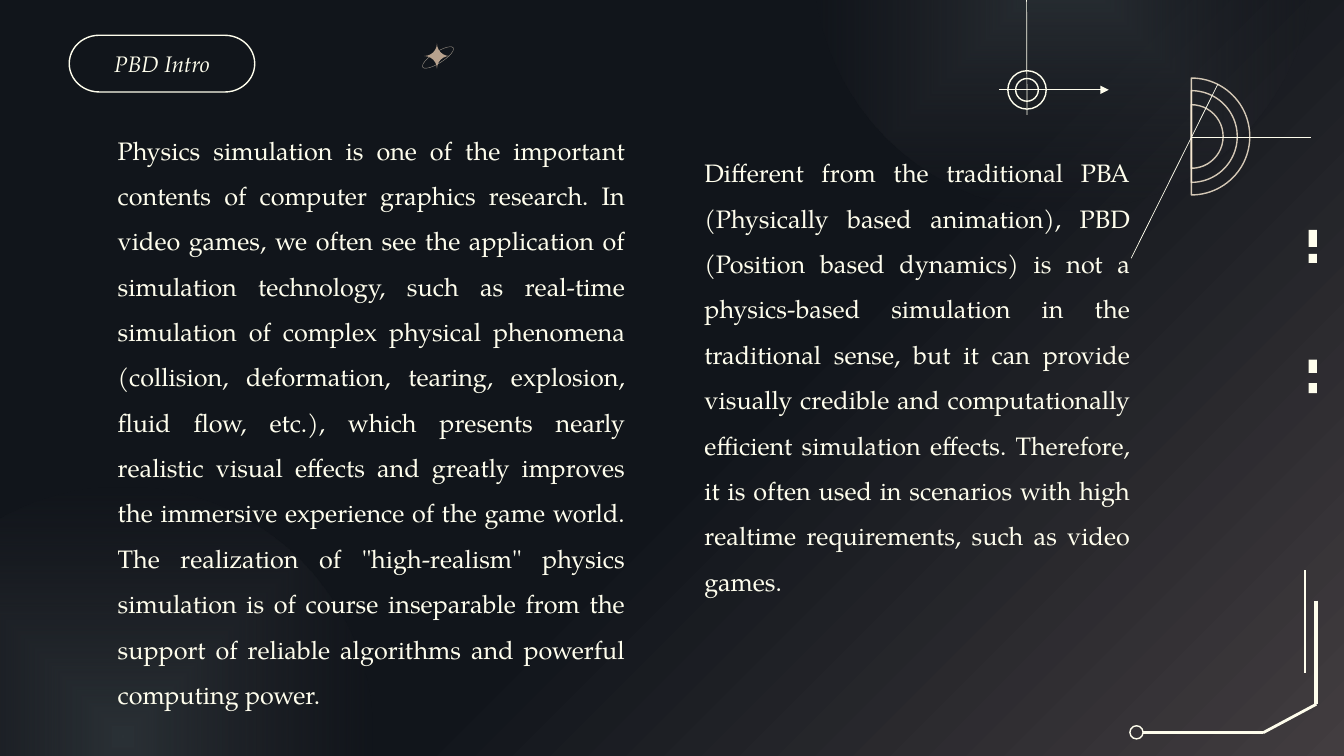
from lxml.etree import SubElement as Sub
from pptx import Presentation
from pptx.dml.color import RGBColor
from pptx.enum.shapes import MSO_CONNECTOR as Link, MSO_SHAPE as Kind
from pptx.enum.text import MSO_ANCHOR as Anchor, MSO_AUTO_SIZE as Auto, PP_ALIGN as Align
from pptx.oxml.ns import qn
from pptx.util import Pt

CREAM, SAND, GOLD = "FFFEED", "F8E9D2", "B8A28E"
LEFT = (
    "Physics simulation is one of the important contents of computer graphics research. "
    "In video games, we often see the application of simulation technology, such as "
    "real-time simulation of complex physical phenomena (collision, deformation, tearing, "
    "explosion, fluid flow, etc.), which presents nearly realistic visual effects and "
    "greatly improves the immersive experience of the game world. The realization of "
    '"high-realism" physics simulation is of course inseparable from the support of '
    "reliable algorithms and powerful computing power."
)
RIGHT = (
    "Different from the traditional PBA (Physically based animation), PBD (Position based "
    "dynamics) is not a physics-based simulation in the traditional sense, but it can "
    "provide visually credible and computationally efficient simulation effects. "
    "Therefore, it is often used in scenarios with high realtime requirements, such as "
    "video games."
)


def tint(hue):
    return RGBColor.from_string(hue)


class Deck:
    """Draws styled elements on the current slide, with lengths in points."""

    def __init__(self, wide, high, face):
        self.prs = Presentation()
        self.prs.slide_width, self.prs.slide_height = Pt(wide), Pt(high)
        self.face = face
        self.slide = self.prs.slides.add_slide(self.prs.slide_layouts[5])
        self.shapes = self.slide.shapes

    def blend(self, fill, root, form, stops, rect):
        fill.solid()
        old = root.find(".//" + qn("a:solidFill"))
        grad = old.makeelement(qn("a:gradFill"), {"rotWithShape": "1"})
        old.getparent().replace(old, grad)
        row = Sub(grad, qn("a:gsLst"))
        for pos, hue, alpha in stops:
            stop = Sub(row, qn("a:gs"), {"pos": str(pos * 1000)})
            self.fade(Sub(stop, qn("a:srgbClr"), {"val": hue}), alpha)
        way = Sub(grad, qn("a:path"), {"path": form})
        Sub(way, qn("a:fillToRect"), {k: str(v * 1000) for k, v in zip("ltrb", rect)})

    def fade(self, node, alpha):
        if alpha < 100:
            Sub(node, qn("a:alpha"), {"val": str(alpha * 1000)})

    def back(self, stops, rect):
        self.blend(self.slide.background.fill, self.slide.element, "circle", stops, rect)

    def shape(self, kind, x, y, w, h, fill=None, line=None, width=1, alpha=100):
        item = self.shapes.add_shape(kind, Pt(x), Pt(y), Pt(w), Pt(h))
        item.shadow.inherit = False
        if fill:
            item.fill.solid()
            item.fill.fore_color.rgb = tint(fill)
        else:
            item.fill.background()
        if line:
            item.line.color.rgb = tint(line)
            item.line.width = Pt(width)
            edge = item.element.spPr.find(qn("a:ln"))
            self.fade(edge.find(".//" + qn("a:srgbClr")), alpha)
        else:
            item.line.fill.background()
        return item

    def ring(self, kind, x, y, size, **style):
        return self.shape(kind, x - size / 2, y - size / 2, size, size, **style)

    def glow(self, x, y, size):
        item = self.ring(Kind.OVAL, x, y, size)
        stops = [(0, "2A3136", 100), (100, "26262B", 0)]
        self.blend(item.fill, item.element.spPr, "shape", stops, [50] * 4)

    def line(self, x, y, to_x, to_y, width=0.5, arrow=False):
        item = self.shapes.add_connector(Link.STRAIGHT, Pt(x), Pt(y), Pt(to_x), Pt(to_y))
        item.line.color.rgb = tint(CREAM)
        item.line.width = Pt(width)
        props = item.element.spPr
        if arrow:
            Sub(props.find(qn("a:ln")), qn("a:tailEnd"), {"type": "triangle"})
        Sub(props, qn("a:effectLst"))

    def put(self, box, text, size, align, italic=False):
        frame = box.text_frame
        frame.word_wrap = True
        frame.text = text
        par = frame.paragraphs[0]
        par.alignment = align
        font = par.font
        font.name, font.size, font.italic = self.face, Pt(size), italic
        font.color.rgb = tint(CREAM)
        return frame

    def title(self, text, x, y, w, h):
        self.shape(Kind.FLOWCHART_TERMINATOR, x, y, w, h, line=CREAM)
        box = self.shapes.title
        box.left, box.top, box.width, box.height = Pt(x), Pt(y), Pt(w), Pt(h)
        frame = self.put(box, text, 16, Align.CENTER, italic=True)
        frame.vertical_anchor = Anchor.MIDDLE
        frame.auto_size = Auto.NONE

    def text(self, text, x, y, w, h):
        box = self.shapes.add_textbox(Pt(x), Pt(y), Pt(w), Pt(h))
        frame = self.put(box, text, 18, Align.JUSTIFY)
        frame.paragraphs[0].line_spacing = 1.5
        frame.auto_size = Auto.SHAPE_TO_FIT_TEXT


def main():
    deck = Deck(960, 540, "TeX Gyre Pagella")
    deck.back([(0, "423D40", 100), (45, "11151B", 100)], (100, 100, 0, 0))
    deck.glow(759.2, -27.7, 356.4)
    deck.glow(87.5, 526, 356.4)

    for y, high in (164.2, 12.2), (181.4, 6.5), (257, 9.4), (273.6, 7.2):
        deck.shape(Kind.RECTANGLE, 934.8, y, 5.8, high, fill=CREAM)

    deck.line(816.5, 523.4, 902.2, 523.4, 2)
    deck.line(902.2, 523.4, 940.3, 503, 2)
    deck.line(940.3, 429, 940.3, 503, 3)
    deck.line(932.2, 407.5, 932.2, 481, 1.5)
    deck.ring(Kind.OVAL, 811.8, 523.1, 9.4, line=CREAM)

    deck.title("PBD Intro", 49.5, 25.2, 132.5, 40.5)

    for size in 83.5, 65.5, 45.4:
        arc = deck.ring(Kind.PIE, 851, 97.5, size, line=SAND, alpha=83)
        arc.adjustments[0], arc.adjustments[1] = 162, 54
    deck.line(851.5, 98, 936.5, 98)
    deck.line(808, 184.5, 870, 60)

    for size in 16.2, 27.4:
        deck.ring(Kind.OVAL, 733.6, 64.2, size, line=CREAM)
    deck.line(733.6, 82, 733.3, 0)
    deck.line(713.5, 64.2, 792, 64.2, arrow=True)

    deck.text(LEFT, 77, 82, 376.6, 429)
    orbit = deck.shape(Kind.OVAL, 308.9, 28.1, 7.9, 25.9, line=SAND, width=0.25, alpha=64)
    orbit.rotation = 57.6
    star = deck.ring(Kind.PLAQUE, 312.1, 40, 18, fill=GOLD)
    star.adjustments[0] = 0.5
    deck.text(RIGHT, 496.1, 98.3, 318.2, 331)

    deck.prs.save("out.pptx")


if __name__ == "__main__":
    main()
